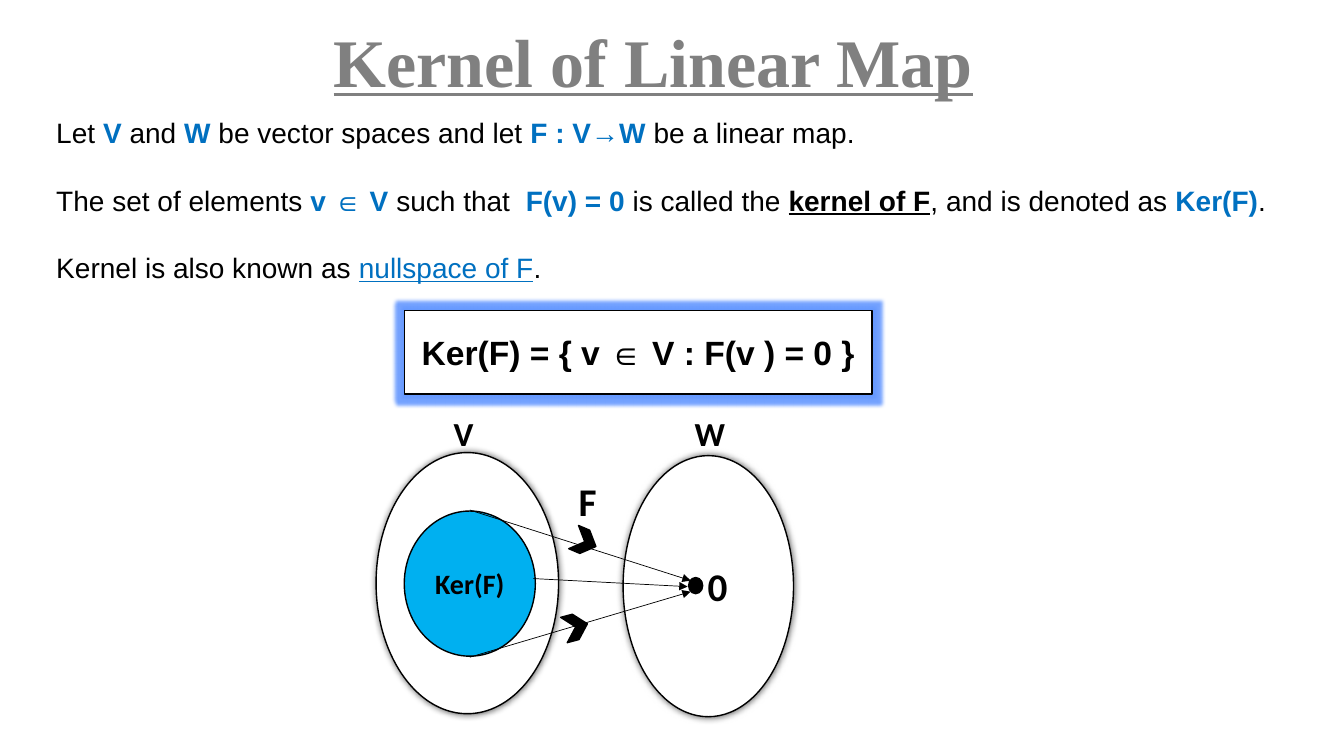
from dataclasses import dataclass

from lxml import etree
from pptx import Presentation
from pptx.dml.color import RGBColor
from pptx.enum.shapes import MSO_CONNECTOR, MSO_SHAPE
from pptx.enum.text import MSO_ANCHOR, MSO_AUTO_SIZE, PP_ALIGN
from pptx.oxml.ns import qn
from pptx.util import Inches, Pt

RECT, OVAL = MSO_SHAPE.RECTANGLE, MSO_SHAPE.OVAL
DOT, CHEVRON = MSO_SHAPE.FLOWCHART_CONNECTOR, MSO_SHAPE.CHEVRON
STRAIGHT = MSO_CONNECTOR.STRAIGHT
MIDDLE, BOTTOM = MSO_ANCHOR.MIDDLE, MSO_ANCHOR.BOTTOM
CENTER, LEFT = PP_ALIGN.CENTER, PP_ALIGN.LEFT


@dataclass(frozen=True)
class Theme:
    black: str = "000000"
    white: str = "FFFFFF"
    gray: str = "808080"
    blue: str = "0070C0"
    sky: str = "00B0F0"
    glow: str = "6699FF"
    head: str = "Times New Roman"
    body: str = "Arial"
    label: str = "Calibri"
    title: float = 48.6
    large: float = 28
    mid: float = 24
    small: float = 20


theme = Theme()


def write(para, text, size, font, color=theme.black, bold=True, line=False):
    """Add one formatted run to a paragraph."""
    run = para.add_run()
    run.text = text
    run.font.size = Pt(size)
    run.font.name = font
    run.font.bold = bold
    run.font.underline = line
    run.font.color.rgb = RGBColor.from_string(color)


def effect(shape, tag, color, alpha, **sizes):
    """Give a shape a glow or an outer shadow."""
    effects = shape._element.spPr.find(qn("a:effectLst"))
    node = etree.SubElement(effects, qn(tag), {k: str(v) for k, v in sizes.items()})
    tint = etree.SubElement(node, qn("a:srgbClr"), val=color)
    etree.SubElement(tint, qn("a:alpha"), val=str(alpha * 1000))


deck = Presentation()
deck.slide_width, deck.slide_height = Inches(13.33), Inches(7.5)
slide = deck.slides.add_slide(deck.slide_layouts[5])
shapes = slide.shapes

# Title
title = shapes.title
title.left, title.top = Inches(1.48), Inches(0.19)
title.width, title.height = Inches(10), Inches(0.87)
frame = title.text_frame
frame.auto_size = MSO_AUTO_SIZE.NONE
frame.vertical_anchor = BOTTOM
para = frame.paragraphs[0]
para.alignment = CENTER
para.line_spacing = 0.9
write(para, "Kernel of Linear Map", theme.title, theme.head, theme.gray, line=True)

# Definition: each run is text, colour, bold, underline
plain = (theme.black, False, False)
math = (theme.blue, True, False)
term = (theme.black, True, True)
link = (theme.blue, False, True)
lines = [
    [("Let ", plain), ("V", math), (" and ", plain), ("W", math),
     (" be vector spaces and let ", plain), ("F : V→W ", math),
     ("be a linear map.", plain)],
    [("The set of elements ", plain), ("v ∈ V ", math), ("such that  ", plain),
     ("F(v) = 0 ", math), ("is called the ", plain), ("kernel of F", term),
     (", and is denoted as ", plain), ("Ker(F)", math), (".", plain)],
    [("Kernel is also known as ", plain), ("nullspace of F", link), (".", plain)],
]
body = shapes.add_textbox(Inches(0.46), Inches(1.1), Inches(12.67), Inches(2.25))
frame = body.text_frame
frame.word_wrap = True
for i, runs in enumerate(lines):
    para = frame.paragraphs[0] if i == 0 else frame.add_paragraph()
    para.alignment = LEFT
    para.space_before = Pt(24 if i else 0)
    for text, style in runs:
        write(para, text, theme.small, theme.body, *style)

# Formula box, sets, zero point and chevrons
parts = [
    ("box", RECT, 4.01, 3.08, 4.64, 0.83, theme.white, 0,
     "Ker(F) = { v ∈ V : F(v ) = 0 }", theme.mid, theme.body),
    ("set", OVAL, 3.73, 4.49, 1.81, 2.59, theme.white, 0, "", 0, ""),
    ("kernel", OVAL, 4.01, 5.07, 1.3, 1.44, theme.sky, 0,
     "Ker(F)", theme.small, theme.label),
    ("set", OVAL, 6.18, 4.52, 1.69, 2.59, theme.white, 0,
     "0", theme.large, theme.label),
    ("zero", DOT, 6.83, 5.73, 0.14, 0.16, theme.black, 0, "", 0, ""),
    ("chevron", CHEVRON, 5.68, 5.25, 0.24, 0.25, theme.black, 23, "", 0, ""),
    ("chevron", CHEVRON, 5.59, 6.09, 0.24, 0.26, theme.black, 345.2, "", 0, ""),
]
for role, kind, x, y, w, h, fill, turn, text, size, font in parts:
    part = shapes.add_shape(kind, Inches(x), Inches(y), Inches(w), Inches(h))
    part.rotation = turn
    part.shadow.inherit = False
    part.fill.solid()
    part.fill.fore_color.rgb = RGBColor.from_string(fill)
    part.line.color.rgb = RGBColor.from_string(theme.black)
    part.line.width = Pt(1)
    if role == "box":
        effect(part, "a:glow", theme.glow, 90, rad=Pt(5))
    if role == "set":
        effect(part, "a:outerShdw", theme.black, 60, blurRad=Pt(5), dist=0, dir=0)
    if text:
        frame = part.text_frame
        frame.word_wrap = False
        frame.vertical_anchor = MIDDLE
        if role == "set":
            frame.margin_left = Inches(0.28)
        para = frame.paragraphs[0]
        para.alignment = CENTER
        write(para, text, size, font)

# Arrows from the kernel to zero
arrows = [(4.66, 5.06, 6.85, 5.76), (4.66, 6.52, 6.85, 5.87), (5.29, 5.74, 6.82, 5.82)]
for ends in arrows:
    arrow = shapes.add_connector(STRAIGHT, *map(Inches, ends))
    arrow.line.color.rgb = RGBColor.from_string(theme.black)
    arrow.line.width = Pt(0.5)
    props = arrow._element.spPr
    etree.SubElement(props.find(qn("a:ln")), qn("a:tailEnd"), type="triangle")
    etree.SubElement(props, qn("a:effectLst"))

# Labels
labels = [("V", 4.4, 4.05, 0.5, theme.mid), ("W", 6.79, 4.05, 0.5, theme.mid),
          ("F", 5.64, 4.69, 0.57, theme.large)]
for text, x, y, h, size in labels:
    label = shapes.add_textbox(Inches(x), Inches(y), Inches(0.48), Inches(h))
    label.text_frame.word_wrap = True
    write(label.text_frame.paragraphs[0], text, size, theme.label)

deck.save("out.pptx")
